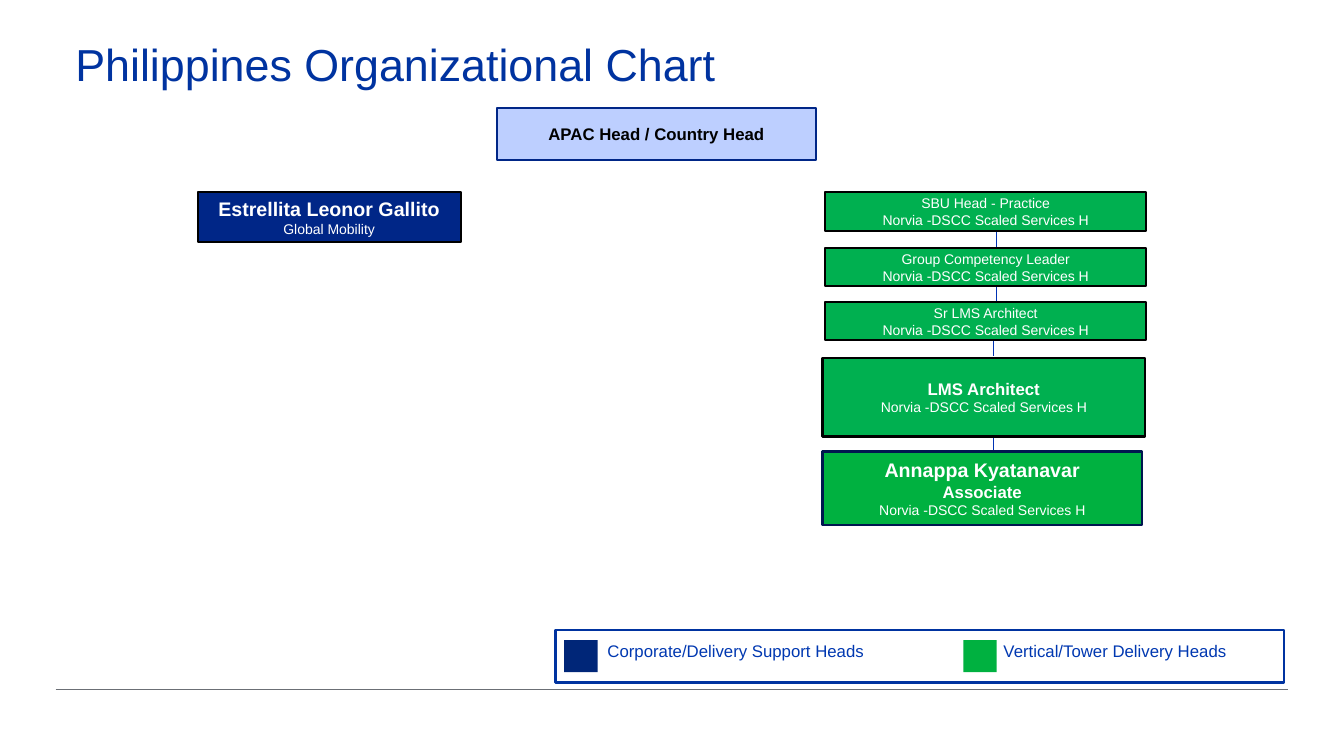
from pptx import Presentation
from pptx.dml.color import RGBColor
from pptx.enum.shapes import MSO_CONNECTOR, MSO_SHAPE
from pptx.enum.text import MSO_ANCHOR, PP_ALIGN
from pptx.oxml.ns import qn
from pptx.util import Cm, Pt
from lxml import etree

RECTANGLE = MSO_SHAPE.RECTANGLE
STRAIGHT = MSO_CONNECTOR.STRAIGHT
MIDDLE = MSO_ANCHOR.MIDDLE
CENTER = PP_ALIGN.CENTER

BLACK = RGBColor(0x00, 0x00, 0x00)
WHITE = RGBColor(0xFF, 0xFF, 0xFF)
GRAY = RGBColor(0x6B, 0x6F, 0x75)
TITLE_BLUE = RGBColor(0x00, 0x33, 0xA0)
LEGEND_BLUE = RGBColor(0x00, 0x38, 0xB1)
LINK_BLUE = RGBColor(0x00, 0x33, 0xB4)
PALE_BLUE = RGBColor(0xBD, 0xCF, 0xFF)
NAVY = RGBColor(0x00, 0x26, 0x87)
SWATCH_NAVY = RGBColor(0x00, 0x26, 0x78)
DARK_NAVY = RGBColor(0x00, 0x16, 0x4F)
GREEN = RGBColor(0x00, 0xB0, 0x50)
BRIGHT_GREEN = RGBColor(0x00, 0xB1, 0x40)

FONT = "Arial"
TEAM = "Norvia -DSCC Scaled Services H"

presentation = Presentation()
presentation.slide_width = Cm(33.87)
presentation.slide_height = Cm(19.05)
slide = presentation.slides.add_slide(presentation.slide_layouts[6])


def add_rectangle(left, top, width, height, fill=None, line=None, weight=1.5):
    shape = slide.shapes.add_shape(RECTANGLE, Cm(left), Cm(top), Cm(width), Cm(height))
    shape.shadow.inherit = False
    if fill is None:
        shape.fill.background()
    else:
        shape.fill.solid()
        shape.fill.fore_color.rgb = fill
    if line is None:
        shape.line.fill.background()
    else:
        shape.line.color.rgb = line
        shape.line.width = Pt(weight)
    return shape


def write_line(paragraph, text, size, color, bold=False):
    paragraph.text = text
    font = paragraph.runs[0].font
    font.name = FONT
    font.size = Pt(size)
    font.bold = bold
    font.color.rgb = color


title = slide.shapes.add_textbox(Cm(1.9), Cm(1.09), Cm(31.04), Cm(2.95))
title_frame = title.text_frame
title_frame.word_wrap = True
title_frame.margin_left = title_frame.margin_right = 0
title_frame.margin_top = title_frame.margin_bottom = 0
title_frame.paragraphs[0].line_spacing = 0.9
write_line(title_frame.paragraphs[0], "Philippines Organizational Chart", 32, TITLE_BLUE)

add_rectangle(14, 15.88, 18.36, 1.32, line=TITLE_BLUE)
legend_entries = [
    (14.22, SWATCH_NAVY, 15.06, 7.57, "Corporate/Delivery Support Heads"),
    (24.28, BRIGHT_GREEN, 25.04, 6.53, "Vertical/Tower Delivery Heads"),
]
for swatch_left, swatch_color, label_left, label_width, label in legend_entries:
    add_rectangle(swatch_left, 16.13, 0.84, 0.81, fill=swatch_color)
    label_box = slide.shapes.add_textbox(Cm(label_left), Cm(16.03), Cm(label_width), Cm(1.04))
    label_box.text_frame.word_wrap = True
    write_line(label_box.text_frame.paragraphs[0], label, 12, LEGEND_BLUE)

lines = [
    (1.4, 17.37, 32.46, 17.37, GRAY),
    (25.12, 5.82, 25.12, 6.22, LINK_BLUE),
    (25.12, 7.21, 25.12, 7.62, LINK_BLUE),
    (25.04, 8.56, 25.04, 8.97, LINK_BLUE),
    (25.04, 11, 25.04, 11.4, LINK_BLUE),
]
for start_x, start_y, end_x, end_y, color in lines:
    connector = slide.shapes.add_connector(
        STRAIGHT, Cm(start_x), Cm(start_y), Cm(end_x), Cm(end_y))
    connector.line.color.rgb = color
    connector.line.width = Pt(0.75)
    etree.SubElement(connector.element.spPr, qn("a:effectLst"))

positions = [
    (12.52, 2.72, 8.05, 1.32, PALE_BLUE, NAVY, 1.5, BLACK,
     [("APAC Head / Country Head", 12, True)]),
    (4.98, 4.83, 6.63, 1.27, NAVY, BLACK, 1.5, WHITE,
     [("Estrellita Leonor Gallito", 14, True), ("Global Mobility", 10, False)]),
    (20.8, 4.85, 8.08, 0.97, GREEN, BLACK, 1.5, WHITE,
     [("SBU Head - Practice", 10, False), (TEAM, 10, False)]),
    (20.8, 6.25, 8.08, 0.97, GREEN, BLACK, 1.5, WHITE,
     [("Group Competency Leader", 10, False), (TEAM, 10, False)]),
    (20.8, 7.62, 8.08, 0.95, GREEN, BLACK, 1.5, WHITE,
     [("Sr LMS Architect", 10, False), (TEAM, 10, False)]),
    (20.73, 9.02, 8.13, 1.98, GREEN, BLACK, 1.5, WHITE,
     [("LMS Architect", 12, True), (TEAM, 10, False)]),
    (20.73, 11.38, 8.05, 1.85, BRIGHT_GREEN, DARK_NAVY, 2, WHITE,
     [("Annappa Kyatanavar", 14, True), ("Associate", 12, True), (TEAM, 10, False)]),
]
for left, top, width, height, fill, line, weight, text_color, rows in positions:
    box = add_rectangle(left, top, width, height, fill, line, weight)
    frame = box.text_frame
    frame.word_wrap = True
    frame.vertical_anchor = MIDDLE
    frame.margin_left = frame.margin_right = 0
    for index, (text, size, bold) in enumerate(rows):
        paragraph = frame.add_paragraph() if index else frame.paragraphs[0]
        paragraph.alignment = CENTER
        write_line(paragraph, text, size, text_color, bold)

presentation.save("out.pptx")
